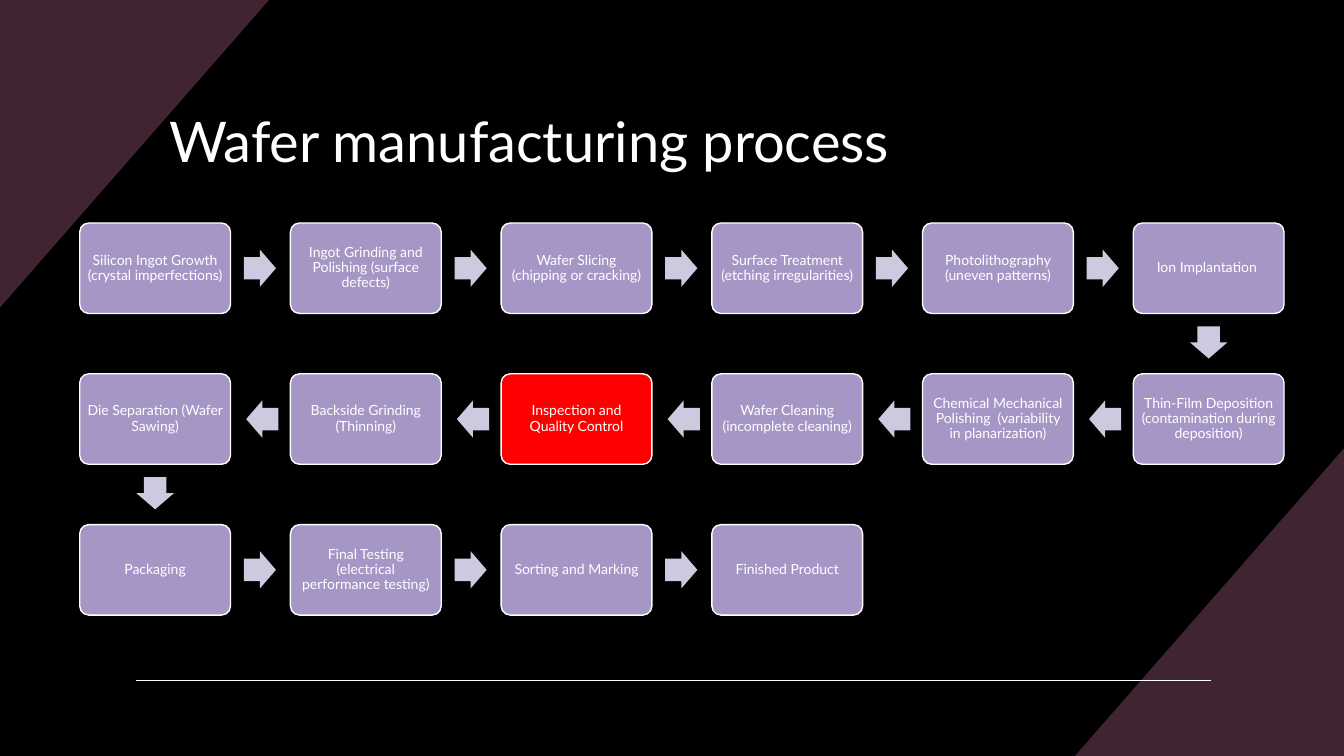
from lxml.etree import SubElement
from pptx import Presentation
from pptx.dml.color import RGBColor
from pptx.enum.shapes import MSO_CONNECTOR as Connector, MSO_SHAPE as Shape
from pptx.enum.text import MSO_ANCHOR as Anchor, PP_ALIGN as Align
from pptx.oxml.ns import qn
from pptx.util import Cm, Pt

# Content: the steps in order; the path turns round at the end of each row
TITLE = "Wafer manufacturing process"
STEPS = [
    "Silicon Ingot Growth (crystal imperfections)",
    "Ingot Grinding and Polishing (surface defects)",
    "Wafer Slicing (chipping or cracking)",
    "Surface Treatment (etching irregularities)",
    "Photolithography (uneven patterns)",
    "Ion Implantation ",
    "Thin-Film Deposition (contamination during deposition)",
    "Chemical Mechanical Polishing  (variability in planarization)",
    "Wafer Cleaning (incomplete cleaning)",
    "Inspection and Quality Control",
    "Backside Grinding (Thinning)",
    "Die Separation (Wafer Sawing)",
    "Packaging",
    "Final Testing (electrical performance testing)",
    "Sorting and Marking",
    "Finished Product",
]
HIGHLIGHT = "Inspection and Quality Control"

# Colours and font
BLACK = RGBColor(0x00, 0x00, 0x00)
WHITE = RGBColor(0xFF, 0xFF, 0xFF)
PLUM = RGBColor(0x41, 0x24, 0x31)
LAVENDER = RGBColor(0xA5, 0x96, 0xC6)
PALE = RGBColor(0xCF, 0xC9, 0xDF)
RED = RGBColor(0xFF, 0x00, 0x00)
FONT = "Lato"

# Layout in centimetres
SLIDE_W, SLIDE_H = 33.87, 19.05
CORNER_W, CORNER_H = 6.78, 7.75
COLUMNS = 6
GRID_X, GRID_Y = 2.01, 5.62
STEP_X, STEP_Y = 5.31, 3.8
BOX_W, BOX_H = 3.8, 2.28
ARROW_W, ARROW_H = 0.81, 0.94
# Arrow centres, measured from the box on the left or above
RIGHT_X, LEFT_X, DOWN_Y = 4.54, 4.6, 3.01

deck = Presentation()
deck.slide_width, deck.slide_height = Cm(SLIDE_W), Cm(SLIDE_H)
page = deck.slides.add_slide(deck.slide_layouts[6])
page.background.fill.solid()
page.background.fill.fore_color.rgb = BLACK


def paint(shape, fill, line=None):
    shape.shadow.inherit = False
    shape.fill.solid()
    shape.fill.fore_color.rgb = fill
    if line is None:
        shape.line.fill.background()
    else:
        shape.line.color.rgb = line
        shape.line.width = Pt(1)


def write(shape, text, *, size, align=Align.LEFT, inset=(0.25, 0.13), spacing=1.0):
    frame = shape.text_frame
    frame.word_wrap = True
    frame.vertical_anchor = Anchor.MIDDLE
    frame.margin_left = frame.margin_right = Cm(inset[0])
    frame.margin_top = frame.margin_bottom = Cm(inset[1])
    para = frame.paragraphs[0]
    para.alignment, para.line_spacing = align, spacing
    span = para.add_run()
    span.text = text
    span.font.name, span.font.size = FONT, Pt(size)
    span.font.color.rgb = WHITE


def add_corner(x, y, direction):
    builder = page.shapes.build_freeform(Cm(x), Cm(y))
    builder.add_line_segments([
        (Cm(x), Cm(y + direction * CORNER_H)),
        (Cm(x + direction * CORNER_W), Cm(y)),
    ])
    paint(builder.convert_to_shape(), PLUM)


def add_arrow(centre_x, centre_y, rotation):
    arrow = page.shapes.add_shape(
        Shape.RIGHT_ARROW, Cm(centre_x - ARROW_W / 2), Cm(centre_y - ARROW_H / 2),
        Cm(ARROW_W), Cm(ARROW_H))
    arrow.adjustments[0], arrow.adjustments[1] = 0.6, 0.5
    arrow.rotation = rotation
    paint(arrow, PALE)


# Corner triangles and footer rule
add_corner(SLIDE_W, SLIDE_H, -1)
add_corner(0, 0, 1)
rule = page.shapes.add_connector(
    Connector.STRAIGHT, Cm(3.43), Cm(17.14), Cm(30.53), Cm(17.14))
rule.line.color.rgb = WHITE
rule.line.width = Pt(1)
SubElement(rule._element.spPr, qn("a:effectLst"))

# Title
title = page.shapes.add_textbox(Cm(4.01), Cm(2.44), Cm(27.51), Cm(2.16))
write(title, TITLE, size=40)

# Steps, each followed by an arrow to the next
for index, step in enumerate(STEPS):
    row, place = divmod(index, COLUMNS)
    backward = row % 2 == 1
    column = COLUMNS - 1 - place if backward else place
    x, y = GRID_X + column * STEP_X, GRID_Y + row * STEP_Y
    box = page.shapes.add_shape(
        Shape.ROUNDED_RECTANGLE, Cm(x), Cm(y), Cm(BOX_W), Cm(BOX_H))
    box.adjustments[0] = 0.1
    paint(box, RED if step == HIGHLIGHT else LAVENDER, WHITE)
    write(box, step, size=10, align=Align.CENTER, inset=(0.1, 0.1), spacing=0.9)

    if index == len(STEPS) - 1:
        continue
    if place == COLUMNS - 1:
        add_arrow(x + BOX_W / 2, y + DOWN_Y, 90)
    elif backward:
        add_arrow(x - STEP_X + LEFT_X, y + BOX_H / 2, 180)
    else:
        add_arrow(x + RIGHT_X, y + BOX_H / 2, 0)

deck.save("out.pptx")
